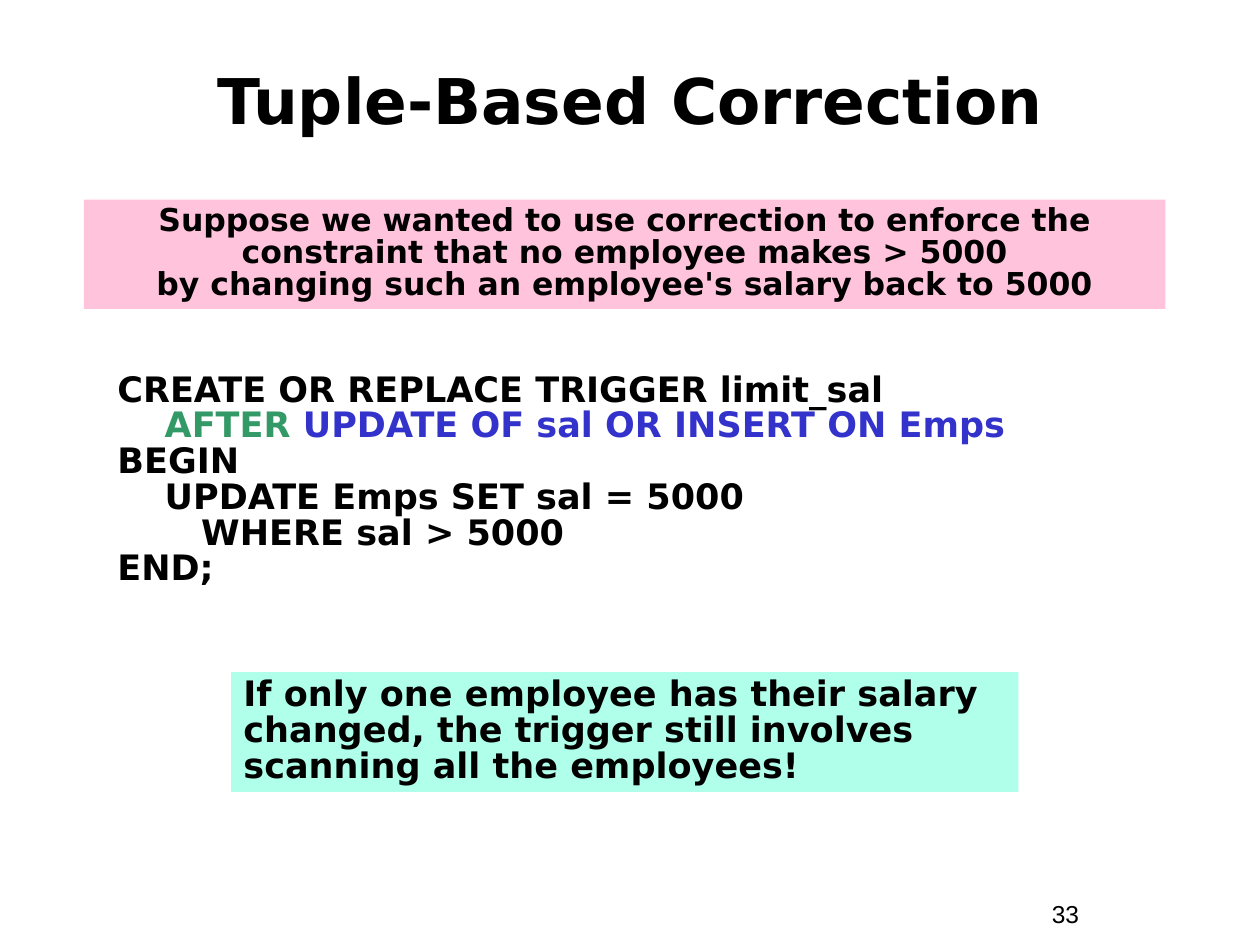
from dataclasses import dataclass

from pptx import Presentation
from pptx.dml.color import RGBColor
from pptx.enum.shapes import MSO_SHAPE
from pptx.enum.text import MSO_ANCHOR, PP_ALIGN
from pptx.util import Pt

BLACK = "000000"
GREEN = "339966"
BLUE = "3333CC"


@dataclass
class Line:
    """A paragraph: black text, then tinted (text, colour) pairs."""
    text: str
    tinted: tuple[tuple[str, str], ...] = ()


@dataclass
class Box:
    place: tuple[float, float, float, float]
    lines: list[Line]
    size: float
    font: str = "DejaVu Sans"
    bold: bool = True
    fill: str | None = None
    align: PP_ALIGN = PP_ALIGN.LEFT
    anchor: MSO_ANCHOR = MSO_ANCHOR.TOP
    space: float = 0.85
    hang: float = 0


def tint(color, code: str) -> None:
    color.rgb = RGBColor.from_string(code)


def add_line(para, line: Line, box: Box) -> None:
    para.text = line.text
    para.alignment = box.align
    para.line_spacing = box.space
    if box.hang:
        props = para._p.get_or_add_pPr()
        props.set("marL", str(Pt(box.hang)))
        props.set("indent", str(-Pt(box.hang)))
    tones = [BLACK] * len(para.runs)
    for text, tone in line.tinted:
        para.add_run().text = text
        tones.append(tone)
    for run, tone in zip(para.runs, tones):
        run.font.name = box.font
        run.font.size = Pt(box.size)
        run.font.bold = box.bold
        tint(run.font.color, tone)


def add_box(slide, box: Box) -> None:
    place = [Pt(n) for n in box.place]
    if box.fill:
        shape = slide.shapes.add_shape(MSO_SHAPE.RECTANGLE, *place)
        shape.shadow.inherit = False
        shape.fill.solid()
        tint(shape.fill.fore_color, box.fill)
        shape.line.fill.background()
    else:
        shape = slide.shapes.add_textbox(*place)
    frame = shape.text_frame
    frame.word_wrap = True
    frame.vertical_anchor = box.anchor
    for i, line in enumerate(box.lines):
        para = frame.add_paragraph() if i else frame.paragraphs[0]
        add_line(para, line, box)


BOXES = [
    Box((594, 510, 66, 24.5), [Line("33")], 14, "Arial", False, space=1),
    Box((24, 24, 672, 66), [Line("Tuple-Based Correction")], 36,
        align=PP_ALIGN.CENTER, anchor=MSO_ANCHOR.MIDDLE, space=1),
    Box((60, 210, 612, 162), [
        Line("CREATE OR REPLACE TRIGGER limit_sal\v",
             (("AFTER ", GREEN), ("UPDATE OF sal OR INSERT ON Emps", BLUE))),
        Line("BEGIN\vUPDATE Emps SET sal = 5000\v   WHERE sal > 5000"),
        Line("END;"),
    ], 20, hang=27),
    Box((132, 384, 450, 68.5), [
        Line("If only one employee has their salary changed, "
             "the trigger still involves scanning all the employees!"),
    ], 20, fill="AFFFEA"),
    Box((48, 114, 618, 62.5), [
        Line("Suppose we wanted to use correction to enforce the "
             "constraint that no employee makes > 5000\v"
             "by changing such an employee's salary back to 5000"),
    ], 18, fill="FFC3DB", align=PP_ALIGN.CENTER),
]


def main() -> None:
    deck = Presentation()
    deck.slide_width, deck.slide_height = Pt(720), Pt(540)
    slide = deck.slides.add_slide(deck.slide_layouts[6])
    for box in BOXES:
        add_box(slide, box)
    deck.save("out.pptx")


if __name__ == "__main__":
    main()
